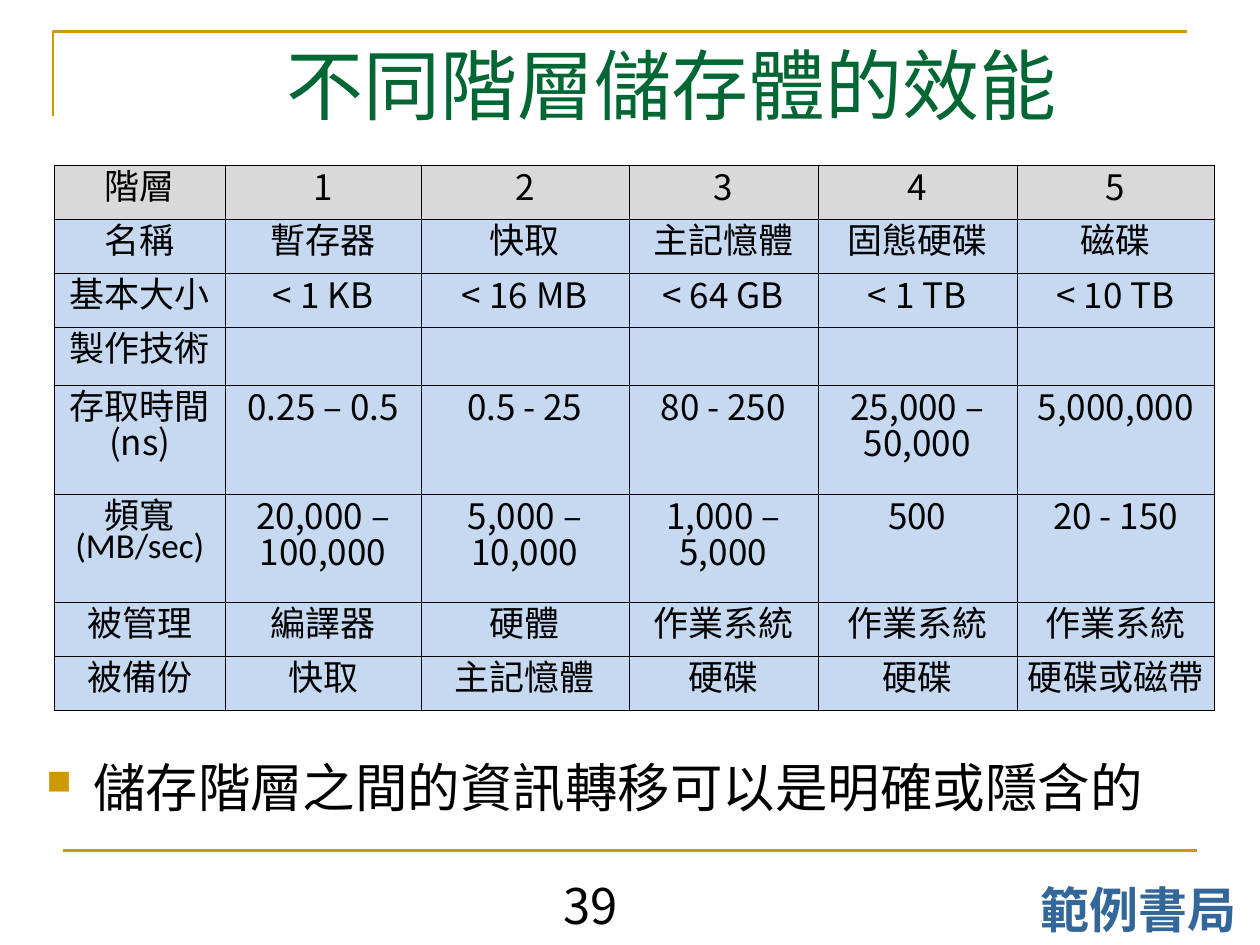
from lxml.etree import SubElement
from pptx import Presentation
from pptx.dml.color import RGBColor
from pptx.enum.shapes import MSO_CONNECTOR
from pptx.enum.text import PP_ALIGN
from pptx.oxml.ns import qn
from pptx.util import Inches, Pt

TITLE = "不同階層儲存體的效能"
POINT = "儲存階層之間的資訊轉移可以是明確或隱含的"
NUMBER = "39"
PRESS = "範例書局"
ROWS = [
    ["階層", "1", "2", "3", "4", "5"],
    ["名稱", "暫存器", "快取", "主記憶體", "固態硬碟", "磁碟"],
    ["基本大小", "< 1 KB", "< 16 MB", "< 64 GB", "< 1 TB", "< 10 TB"],
    ["製作技術", "", "", "", "", ""],
    ["存取時間\n(ns)", "0.25 – 0.5", "0.5 - 25", "80 - 250", "25,000 – 50,000", "5,000,000"],
    ["頻寬(MB/sec)", "20,000 – 100,000", "5,000 – 10,000", "1,000 – 5,000", "500", "20 - 150"],
    ["被管理", "編譯器", "硬體", "作業系統", "作業系統", "作業系統"],
    ["被備份", "快取", "主記憶體", "硬碟", "硬碟", "硬碟或磁帶"],
]
WIDTHS = [1.36, 1.55, 1.65, 1.5, 1.58, 1.57]
HEIGHTS = [0.43, 0.43, 0.43, 0.46, 0.86, 0.86, 0.43, 0.43]
THEME = {
    "gold": "CC9900", "green": "006633", "blue": "336699", "black": "000000",
    "gray": "D9D9D9", "pale": "C6D9F1",
    "sans": "Noto Sans CJK SC", "cell": "Noto Sans CJK TC", "latin": "Calibri",
    "title": 44, "point": 30, "foot": 28, "body": 20, "rule": 1.5, "edge": 0.11,
}


def color(name):
    return RGBColor.from_string(THEME[name])


def write(frame, text, size, font="sans", tint="black", bold=False,
          align=PP_ALIGN.CENTER, bullet=None):
    frame.word_wrap = True
    for i, line in enumerate(text.split("\n")):
        para = frame.paragraphs[0] if i == 0 else frame.add_paragraph()
        para.alignment = align
        if bullet:
            props = para._p.get_or_add_pPr()
            props.set("marL", str(Inches(0.37)))
            props.set("indent", str(-Inches(0.37)))
            paint = SubElement(props, qn("a:buClr"))
            SubElement(paint, qn("a:srgbClr"), val=THEME["gold"])
            SubElement(props, qn("a:buSzPct"), val="65000")
            SubElement(props, qn("a:buChar"), char=bullet)
        face = font
        if font == "cell":
            han = line[0] >= "一"
            face = "latin" if han else "cell"
            para.line_spacing = 0.69 if han else 0.71
        run = para.add_run()
        run.text = line
        run.font.size = Pt(THEME[size])
        run.font.bold = bold
        run.font.name = THEME[face]
        run.font.color.rgb = color(tint)
        asian = THEME["cell" if font == "cell" else font]
        SubElement(run._r.get_or_add_rPr(), qn("a:ea"), typeface=asian)


def label(slide, text, place, size, inset=True, **style):
    frame = slide.shapes.add_textbox(*map(Inches, place)).text_frame
    if not inset:
        frame.margin_left = frame.margin_right = 0
        frame.margin_top = frame.margin_bottom = 0
    write(frame, text, size, **style)


def border(cell):
    props = cell._tc.get_or_add_tcPr()
    for i, side in enumerate(("lnL", "lnR", "lnT", "lnB")):
        edge = props.makeelement(qn("a:" + side), {"w": str(Pt(THEME["edge"]))})
        props.insert(i, edge)
        fill = SubElement(edge, qn("a:solidFill"))
        SubElement(fill, qn("a:srgbClr"), val=THEME["black"])


def rules(slide):
    build = slide.shapes.build_freeform(Inches(0.42), Inches(0.92))
    build.add_line_segments(
        [(Inches(0.42), Inches(0.25)), (Inches(9.42), Inches(0.25))], close=False)
    frame = build.convert_to_shape()
    frame.fill.background()
    frame.shadow.inherit = False
    foot = slide.shapes.add_connector(
        MSO_CONNECTOR.STRAIGHT, *map(Inches, (0.5, 6.75, 9.5, 6.75)))
    for shape in (frame, foot):
        shape.line.color.rgb = color("gold")
        shape.line.width = Pt(THEME["rule"])
    SubElement(foot._element.spPr, qn("a:effectLst"))


def grid(slide):
    place = (0.43, 1.31, sum(WIDTHS), sum(HEIGHTS))
    table = slide.shapes.add_table(
        len(ROWS), len(WIDTHS), *map(Inches, place)).table
    table.first_row = table.horz_banding = False
    for col, width in zip(table.columns, WIDTHS):
        col.width = Inches(width)
    for r, (row, height) in enumerate(zip(ROWS, HEIGHTS)):
        table.rows[r].height = Inches(height)
        for c, text in enumerate(row):
            cell = table.cell(r, c)
            cell.margin_left = cell.margin_right = Inches(0.08)
            cell.margin_top = cell.margin_bottom = Inches(0.05)
            cell.fill.solid()
            cell.fill.fore_color.rgb = color("pale" if r else "gray")
            border(cell)
            if text:
                write(cell.text_frame, text, "body", font="cell")


def main():
    deck = Presentation()
    deck.slide_width, deck.slide_height = Inches(10), Inches(7.5)
    slide = deck.slides.add_slide(deck.slide_layouts[6])
    rules(slide)
    label(slide, NUMBER, (3.98, 6.9, 1.42, 0.66), "foot")
    label(slide, PRESS, (8.07, 6.93, 1.93, 0.57), "foot", tint="blue", bold=True)
    label(slide, TITLE, (0.67, 0.3, 9.33, 0.63), "title", inset=False, tint="green")
    label(slide, POINT, (0.27, 5.94, 9.29, 0.7), "point",
          align=PP_ALIGN.LEFT, bullet="■")
    grid(slide)
    deck.save("out.pptx")


if __name__ == "__main__":
    main()
